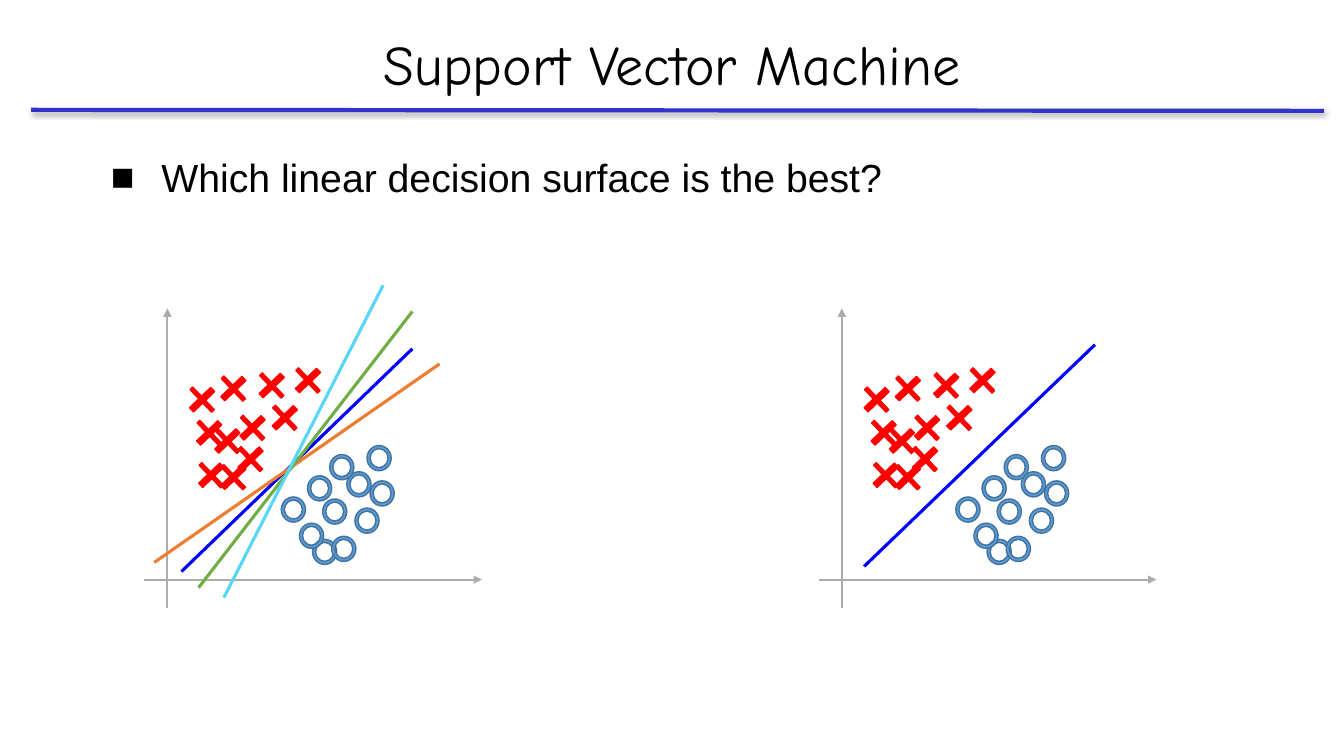
from dataclasses import dataclass

from lxml import etree
from pptx import Presentation
from pptx.dml.color import RGBColor
from pptx.enum.shapes import MSO_CONNECTOR, MSO_SHAPE
from pptx.enum.text import MSO_ANCHOR, MSO_AUTO_SIZE, PP_ALIGN
from pptx.oxml.ns import qn
from pptx.shapes.connector import Connector
from pptx.util import Inches, Pt

STRAIGHT = MSO_CONNECTOR.STRAIGHT
DONUT = MSO_SHAPE.DONUT
CROSS = MSO_SHAPE.CROSS
MIDDLE = MSO_ANCHOR.MIDDLE
TOP = MSO_ANCHOR.TOP
FIT_SHAPE = MSO_AUTO_SIZE.SHAPE_TO_FIT_TEXT
NO_FIT = MSO_AUTO_SIZE.NONE
CENTER = PP_ALIGN.CENTER
LEFT = PP_ALIGN.LEFT

COLORS = {
    "text": "000000",
    "rule": "3333CC",
    "axis": "AFABAB",
    "circle": "5B9BD5",
    "circle_edge": "43739E",
    "cross": "FF0000",
    "blue": "0000FF",
    "orange": "ED7D31",
    "green": "70AD47",
    "cyan": "58D5F7",
}


@dataclass(frozen=True)
class Segment:
    start: tuple[float, float]
    end: tuple[float, float]
    color: str
    width: float = 2.25
    arrow: bool = False


@dataclass(frozen=True)
class Marker:
    preset: MSO_SHAPE
    size: tuple[float, float]
    adjustment: float
    fill: str
    edge: str
    rotation: float = 0


@dataclass(frozen=True)
class Plot:
    offset: float
    boundaries: tuple[Segment, ...]


CIRCLE_MARKER = Marker(DONUT, (0.24, 0.25), 0.128, "circle", "circle_edge")
CROSS_MARKER = Marker(CROSS, (0.31, 0.29), 0.436, "cross", "cross", 46.3)

CIRCLE_POINTS = [
    (3.64, 4.42), (3.44, 4.68), (3.67, 4.77), (3.27, 4.51),
    (3.2, 4.95), (2.79, 4.93), (3.05, 4.72), (3.1, 5.35),
    (3.29, 5.32), (2.97, 5.19), (3.52, 5.04),
]
CROSS_POINTS = [
    (2.16, 3.71), (2.54, 3.68), (2.1, 4.23), (1.92, 4.15),
    (2.35, 4.1), (2.9, 3.63), (2.16, 4.59), (2.67, 4),
    (2.33, 4.41), (1.94, 4.57), (1.85, 3.82),
]
AXES = (
    Segment((1.43, 5.75), (4.78, 5.75), "axis", 1.5, True),
    Segment((1.66, 6.03), (1.66, 3.06), "axis", 1.5, True),
)
PLOTS = [
    Plot(0, (
        Segment((1.8, 5.67), (4.09, 3.46), "blue"),
        Segment((1.53, 5.58), (4.36, 3.61), "orange"),
        Segment((1.97, 5.83), (4.09, 3.09), "green"),
        Segment((2.22, 5.93), (3.8, 2.83), "cyan"),
    )),
    Plot(6.69, (Segment((1.88, 5.62), (4.17, 3.42), "blue"),)),
]


def rgb(name: str) -> RGBColor:
    return RGBColor.from_string(COLORS[name])


def draw_segment(shapes, segment: Segment, offset: float = 0) -> Connector:
    (start_x, start_y), (end_x, end_y) = segment.start, segment.end
    connector = shapes.add_connector(
        STRAIGHT, Inches(start_x + offset), Inches(start_y),
        Inches(end_x + offset), Inches(end_y))
    connector.line.color.rgb = rgb(segment.color)
    connector.line.width = Pt(segment.width)
    if segment.arrow:
        line = connector.line._get_or_add_ln()
        etree.SubElement(line, qn("a:tailEnd"), type="triangle")
    etree.SubElement(connector._element.spPr, qn("a:effectLst"))
    return connector


def draw_rule(shapes) -> None:
    connector = draw_segment(shapes, Segment((0.31, 1.09), (13.13, 1.1), "rule", 3))
    effects = connector._element.spPr.find(qn("a:effectLst"))
    shadow = etree.SubElement(
        effects, qn("a:outerShdw"), blurRad=str(Pt(3.1)), dist=str(Pt(1.8)),
        dir="5400000", rotWithShape="0")
    color = etree.SubElement(shadow, qn("a:srgbClr"), val=COLORS["text"])
    etree.SubElement(color, qn("a:alpha"), val="35000")


def draw_marker(shapes, marker: Marker, left: float, top: float) -> None:
    width, height = marker.size
    shape = shapes.add_shape(
        marker.preset, Inches(left), Inches(top), Inches(width), Inches(height))
    shape.adjustments[0] = marker.adjustment
    shape.rotation = marker.rotation
    shape.shadow.inherit = False
    shape.fill.solid()
    shape.fill.fore_color.rgb = rgb(marker.fill)
    shape.line.color.rgb = rgb(marker.edge)
    shape.line.width = Pt(1)


def draw_plot(shapes, plot: Plot) -> None:
    group = shapes.add_group_shape().shapes
    for axis in AXES:
        draw_segment(group, axis, plot.offset)
    for marker, points in ((CIRCLE_MARKER, CIRCLE_POINTS), (CROSS_MARKER, CROSS_POINTS)):
        for left, top in points:
            draw_marker(group, marker, left + plot.offset, top)
    for boundary in plot.boundaries:
        draw_segment(group, boundary, plot.offset)


def set_attributes(target, values: dict) -> None:
    for name, value in values.items():
        setattr(target, name, value)


def fill_placeholder(shape, text: str, box: dict, frame: dict,
                     layout: dict, font: dict, bullet: str = "") -> None:
    set_attributes(shape, {name: Inches(value) for name, value in box.items()})
    shape.text_frame.text = text
    set_attributes(shape.text_frame, {"word_wrap": True, **frame})
    paragraph = shape.text_frame.paragraphs[0]
    if bullet:
        properties = paragraph._p.get_or_add_pPr()
        properties.set("marL", str(Inches(0.5)))
        properties.set("indent", str(Inches(-0.5)))
        etree.SubElement(properties, qn("a:buFont"), typeface="Arial")
        etree.SubElement(properties, qn("a:buChar"), char=bullet)
    set_attributes(paragraph, layout)
    run_font = paragraph.runs[0].font
    set_attributes(run_font, font)
    run_font.color.rgb = rgb("text")


def main() -> None:
    presentation = Presentation()
    presentation.slide_width = Inches(13.33)
    presentation.slide_height = Inches(7.5)
    slide = presentation.slides.add_slide(presentation.slide_layouts[1])
    draw_rule(slide.shapes)
    fill_placeholder(
        slide.shapes.title, "Support Vector Machine",
        {"left": 0, "top": 0.21, "width": 13.33, "height": 0.83},
        {"vertical_anchor": MIDDLE, "auto_size": NO_FIT},
        {"alignment": CENTER},
        {"name": "Comic Neue", "size": Pt(40)})
    fill_placeholder(
        slide.placeholders[1], "Which linear decision surface is the best?",
        {"left": 1, "top": 1.47, "width": 9.29, "height": 0.57},
        {"vertical_anchor": TOP, "auto_size": FIT_SHAPE},
        {"alignment": LEFT, "space_before": Pt(0)},
        {"name": "Arial", "size": Pt(28)}, "■")
    for plot in PLOTS:
        draw_plot(slide.shapes, plot)
    presentation.save("out.pptx")


if __name__ == "__main__":
    main()
